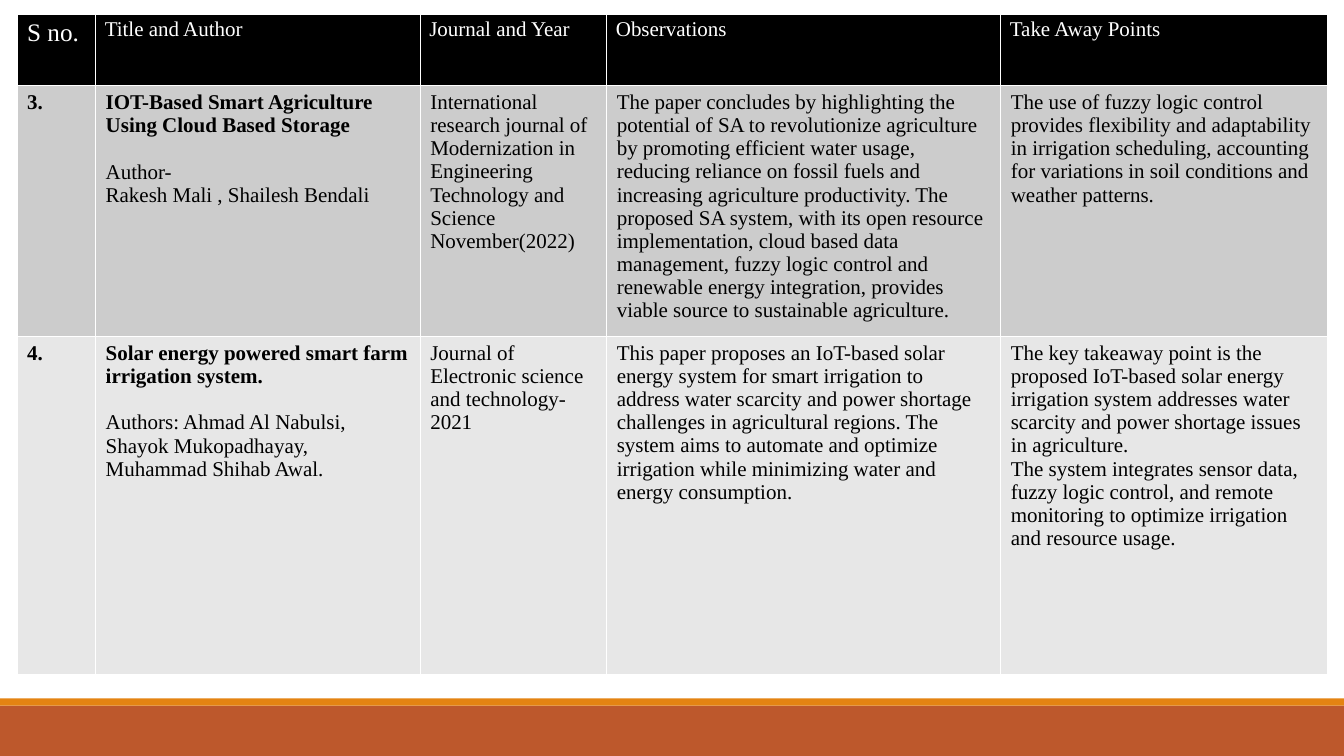
from lxml import etree
from pptx import Presentation
from pptx import util as u
from pptx.dml.color import RGBColor
from pptx.enum import shapes
from pptx.oxml.ns import qn

FONT = "Times New Roman"
TEXT_SIZE = 15
HEADERS = ["S no.", "Title and Author", "Journal and Year", "Observations", "Take Away Points"]
PAPERS = [
    [
        ["3."],
        ["IOT-Based Smart Agriculture Using Cloud Based Storage",
         "Author-",
         "Rakesh Mali , Shailesh Bendali"],
        ["International research journal of Modernization in Engineering Technology and Science "
         "November(2022)"],
        ["The paper concludes by highlighting the potential of SA to revolutionize agriculture by "
         "promoting efficient water usage, reducing reliance on fossil fuels and increasing "
         "agriculture productivity. The proposed SA system, with its open resource implementation, "
         "cloud based data management, fuzzy logic control and renewable energy integration, "
         "provides viable source to sustainable agriculture."],
        ["The use of fuzzy logic control provides flexibility and adaptability in irrigation "
         "scheduling, accounting for variations in soil conditions and weather patterns."],
    ],
    [
        ["4."],
        ["Solar energy powered smart farm irrigation system.",
         "Authors: Ahmad Al Nabulsi, Shayok Mukopadhayay, Muhammad Shihab Awal."],
        ["Journal of Electronic science and technology- 2021"],
        ["This paper proposes an IoT-based solar energy system for smart irrigation to address "
         "water scarcity and power shortage challenges in agricultural regions. The system aims "
         "to automate and optimize irrigation while minimizing water and energy consumption."],
        ["The key takeaway point is the proposed IoT-based solar energy irrigation system "
         "addresses water scarcity and power shortage issues in agriculture.",
         "The system integrates sensor data, fuzzy logic control, and remote monitoring to "
         "optimize irrigation and resource usage."],
    ],
]
COLUMN_WIDTHS = [1.98, 8.18, 4.7, 9.93, 8.23]
ROW_HEIGHTS = [1.8, 6.32, 8.51]
ROW_FILLS = ["000000", "CCCCCC", "E7E7E7"]
FOOTER_BANDS = [(17.78, 1.27, "BD582C"), (17.6, 0.18, "E48312")]
SLIDE_WIDTH, SLIDE_HEIGHT = 33.87, 19.05


def paint(color_format, color):
    color_format.rgb = RGBColor.from_string(color)


def fill_with(target, color):
    target.fill.solid()
    paint(target.fill.fore_color, color)


def add_borders(cell, color):
    properties = cell._tc.get_or_add_tcPr()
    for side in ("a:lnL", "a:lnR", "a:lnT", "a:lnB"):
        line = etree.SubElement(properties, qn(side), w=str(u.Pt(1)))
        solid = etree.SubElement(line, qn("a:solidFill"))
        etree.SubElement(solid, qn("a:srgbClr"), val=color)


def write_cell(cell, paragraphs, row, column):
    header = row == 0
    frame = cell.text_frame
    for index, words in enumerate(paragraphs):
        paragraph = frame.paragraphs[0] if index == 0 else frame.add_paragraph()
        paragraph.text = words
        if column == 1 and index == 1:
            paragraph.space_before = u.Pt(16.6)
        font = paragraph.font
        font.name = FONT
        font.size = u.Pt(18 if header and column == 0 else TEXT_SIZE)
        font.bold = not header and column < 2 and index == 0
        paint(font.color, "FFFFFF" if header else "000000")
    if header and column > 0:
        cell.margin_left = u.Cm(0.23)
        cell.margin_right = cell.margin_bottom = 0
        cell.margin_top = u.Cm(0.1)


presentation = Presentation()
presentation.slide_width = u.Cm(SLIDE_WIDTH)
presentation.slide_height = u.Cm(SLIDE_HEIGHT)
slide = presentation.slides.add_slide(presentation.slide_layouts[6])

for top, height, color in FOOTER_BANDS:
    band = slide.shapes.add_shape(
        shapes.MSO_SHAPE.RECTANGLE, 0, u.Cm(top), u.Cm(SLIDE_WIDTH), u.Cm(height))
    band.shadow.inherit = False
    fill_with(band, color)
    band.line.fill.background()

table = slide.shapes.add_table(
    len(ROW_HEIGHTS), len(COLUMN_WIDTHS), u.Cm(0.43), u.Cm(0.36),
    u.Cm(sum(COLUMN_WIDTHS)), u.Cm(sum(ROW_HEIGHTS))).table
for column, width in zip(table.columns, COLUMN_WIDTHS):
    column.width = u.Cm(width)
for row, height in zip(table.rows, ROW_HEIGHTS):
    row.height = u.Cm(height)

rows = [[[header] for header in HEADERS]] + PAPERS
for row, (entries, color) in enumerate(zip(rows, ROW_FILLS)):
    for column, paragraphs in enumerate(entries):
        cell = table.cell(row, column)
        add_borders(cell, "FFFFFF")
        fill_with(cell, color)
        write_cell(cell, paragraphs, row, column)

presentation.save("out.pptx")
